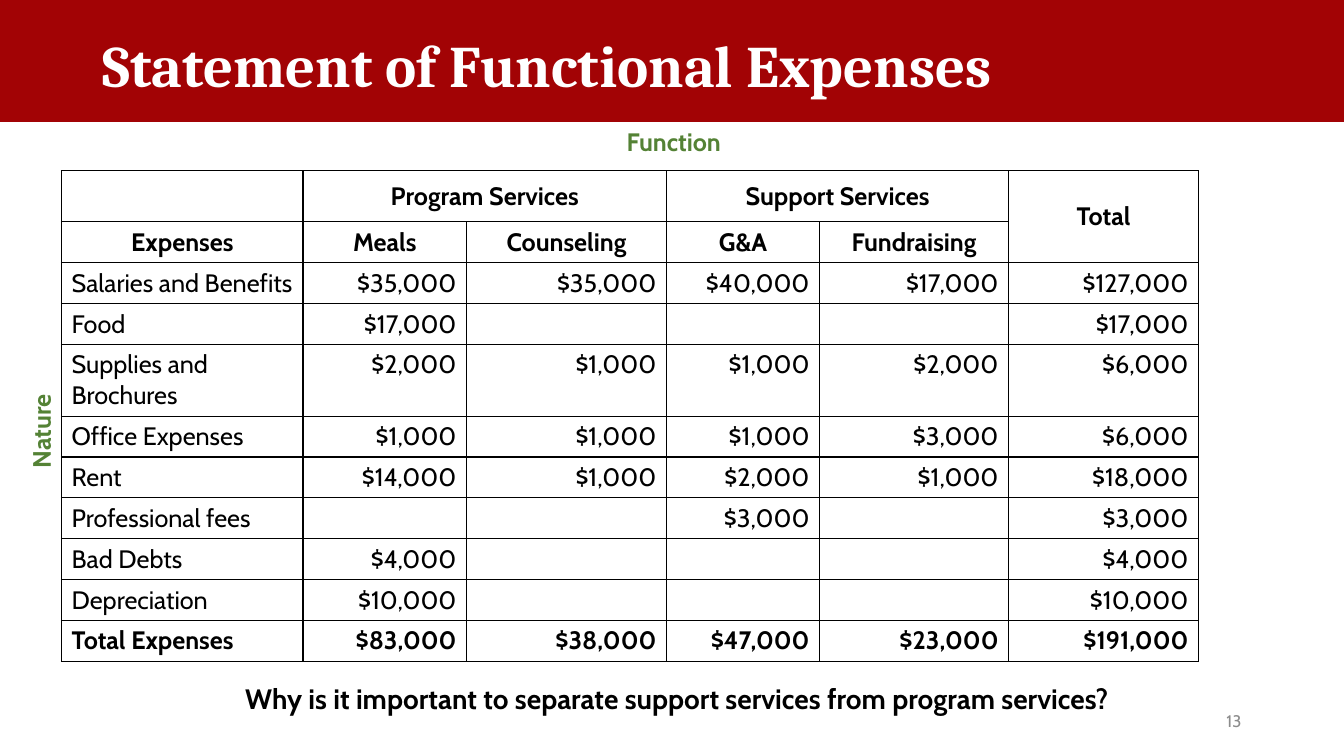
from lxml import etree
from pptx import Presentation
from pptx.dml.color import RGBColor
from pptx.enum import shapes, text
from pptx.oxml import ns
from pptx.util import Pt

RED, GREEN, GREY, BLACK, WHITE = "A20305", "548235", "8C8C8C", "000000", "FFFFFF"
LEFT, CENTER, RIGHT = text.PP_ALIGN.LEFT, text.PP_ALIGN.CENTER, text.PP_ALIGN.RIGHT
COLUMN_WIDTHS = [172.5, 116.8, 142.8, 109.4, 135, 135.6]
HEADER_HEIGHT, ROW_HEIGHT, TALL_ROW_HEIGHT = 36.5, 29.2, 51
TALL_ROW = 4
EXPENSES = [
    ["", "Program Services", "", "Support Services", "", "Total"],
    ["Expenses", "Meals", "Counseling", "G&A", "Fundraising", ""],
    ["Salaries and Benefits", "$35,000", "$35,000", "$40,000", "$17,000", "$127,000"],
    ["Food", "$17,000", "", "", "", "$17,000"],
    ["Supplies and Brochures", "$2,000", "$1,000", "$1,000", "$2,000", "$6,000"],
    ["Office Expenses", "$1,000", "$1,000", "$1,000", "$3,000", "$6,000"],
    ["Rent", "$14,000", "$1,000", "$2,000", "$1,000", "$18,000"],
    ["Professional fees", "", "", "$3,000", "", "$3,000"],
    ["Bad Debts", "$4,000", "", "", "", "$4,000"],
    ["Depreciation", "$10,000", "", "", "", "$10,000"],
    ["Total Expenses", "$83,000", "$38,000", "$47,000", "$23,000", "$191,000"],
]
MERGES = [((0, 1), (0, 2)), ((0, 3), (0, 4)), ((0, 5), (1, 5))]


def color(value):
    """Turn a hex string into a colour."""
    return RGBColor.from_string(value)


def write(frame, words, size, shade, bold=True, align=LEFT, font="Cabin"):
    """Put one formatted paragraph into a text frame."""
    frame.text = words
    para = frame.paragraphs[0]
    para.alignment = align
    for span in para.runs:
        span.font.name = font
        span.font.size = Pt(size)
        span.font.bold = bold
        span.font.color.rgb = color(shade)
    return para


def add_label(page, place, words, size, shade, middle=False, rotation=0, **style):
    """Add a text box holding one paragraph."""
    box = page.shapes.add_textbox(*map(Pt, place))
    box.rotation = rotation
    frame = box.text_frame
    frame.word_wrap = True
    if middle:
        frame.vertical_anchor = text.MSO_ANCHOR.MIDDLE
    return write(frame, words, size, shade, **style)


def add_banner(page):
    """Add the red band with the slide title."""
    band = page.shapes.add_shape(shapes.MSO_SHAPE.RECTANGLE, 0, 0, Pt(960), Pt(87))
    band.shadow.inherit = False
    band.fill.solid()
    band.fill.fore_color.rgb = color(RED)
    band.line.color.rgb = color(RED)
    band.line.width = Pt(1)
    title = add_label(page, (66, 5.5, 828, 87), "Statement of Functional Expenses",
                      42, WHITE, middle=True, font="Cambria")
    title.line_spacing = 0.9


def outline(cell):
    """Draw a thin black border around a cell and clear its fill."""
    properties = cell._tc.get_or_add_tcPr()
    for side in ("a:lnL", "a:lnR", "a:lnT", "a:lnB"):
        line = etree.SubElement(properties, ns.qn(side), w=str(Pt(1)))
        fill = etree.SubElement(line, ns.qn("a:solidFill"))
        etree.SubElement(fill, ns.qn("a:srgbClr"), val=BLACK)
    cell.fill.background()


def add_expense_table(page):
    """Add the table of expenses by nature and function."""
    heights = [HEADER_HEIGHT] + [ROW_HEIGHT] * (len(EXPENSES) - 1)
    heights[TALL_ROW] = TALL_ROW_HEIGHT
    table = page.shapes.add_table(len(heights), len(COLUMN_WIDTHS), Pt(44), Pt(122),
                                  Pt(sum(COLUMN_WIDTHS)), Pt(sum(heights))).table
    table.first_row = table.horz_banding = False
    for column, width in zip(table.columns, COLUMN_WIDTHS):
        column.width = Pt(width)
    for row, height in zip(table.rows, heights):
        row.height = Pt(height)
    for first, last in MERGES:
        table.cell(*first).merge(table.cell(*last))
    for row, entries in enumerate(EXPENSES):
        header = row < 2
        for column, words in enumerate(entries):
            cell = table.cell(row, column)
            outline(cell)
            if header:
                cell.vertical_anchor = text.MSO_ANCHOR.MIDDLE
            align = CENTER if header else RIGHT if column else LEFT
            bold = header or row == len(EXPENSES) - 1
            write(cell.text_frame, words, 18, BLACK, bold=bold, align=align)


def main():
    """Build the slide and save it."""
    deck = Presentation()
    deck.slide_width, deck.slide_height = Pt(960), Pt(540)
    page = deck.slides.add_slide(deck.slide_layouts[6])
    add_expense_table(page)
    add_label(page, (168, 483, 701, 32),
              "Why is it important to separate support services from program services?",
              20, BLACK)
    add_label(page, (678, 500.5, 216, 29), "13", 12, GREY,
              middle=True, bold=False, align=RIGHT)
    add_label(page, (440.5, 86.5, 103, 29), "Function", 18, GREEN)
    add_label(page, (-22.3, 275.6, 103, 29), "Nature", 18, GREEN, rotation=270)
    add_banner(page)
    deck.save("out.pptx")


if __name__ == "__main__":
    main()
